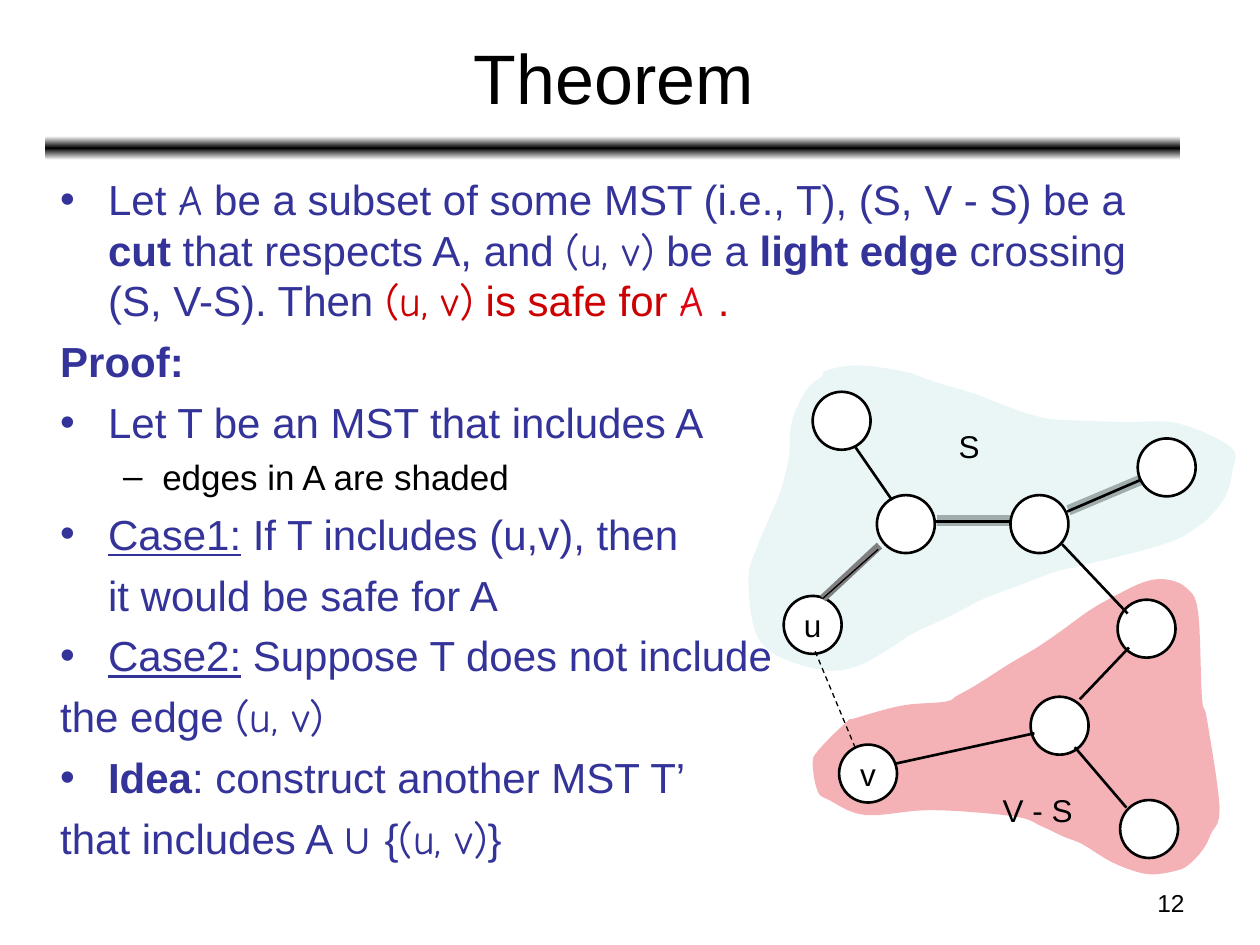
from dataclasses import dataclass
from typing import Optional

from lxml import etree
from pptx import Presentation
from pptx.dml.color import RGBColor
from pptx.enum.dml import MSO_LINE
from pptx.enum.shapes import MSO_CONNECTOR, MSO_SHAPE
from pptx.enum.text import MSO_ANCHOR, MSO_AUTO_SIZE, PP_ALIGN
from pptx.oxml.ns import qn
from pptx.util import Inches, Pt

STRAIGHT = MSO_CONNECTOR.STRAIGHT
OVAL, ROUNDED = MSO_SHAPE.OVAL, MSO_SHAPE.ROUNDED_RECTANGLE
LEFT, CENTER, RIGHT = PP_ALIGN.LEFT, PP_ALIGN.CENTER, PP_ALIGN.RIGHT
MIDDLE, TOP = MSO_ANCHOR.MIDDLE, MSO_ANCHOR.TOP
GROW = MSO_AUTO_SIZE.SHAPE_TO_FIT_TEXT
DASH = MSO_LINE.DASH


@dataclass(frozen=True)
class Theme:
    black: RGBColor = RGBColor(0, 0, 0)
    white: RGBColor = RGBColor(255, 255, 255)
    navy: RGBColor = RGBColor(0x33, 0x33, 0x99)
    claim: RGBColor = RGBColor(0xCC, 0, 0)
    red: RGBColor = RGBColor(0xDD, 0x01, 0x11)
    teal: RGBColor = RGBColor(0xBB, 0xE0, 0xE3)
    shade: RGBColor = RGBColor(0x96, 0x96, 0x96)
    dark_shade: RGBColor = RGBColor(0x80, 0x80, 0x80)
    font: str = "Arial"
    math_font: str = "Comic Neue"
    title: int = 40
    body: int = 24
    detail: int = 20
    label: int = 18
    number: int = 14


THEME = Theme()


@dataclass(frozen=True)
class Span:
    text: str
    bold: bool = False
    underline: bool = False
    math: bool = False
    color: Optional[RGBColor] = None


@dataclass(frozen=True)
class Item:
    spans: tuple[Span, ...]
    bullet: str = ""
    margin: float = 0.38
    hanging: float = -0.38
    size: int = THEME.body
    before: int = 6
    color: RGBColor = THEME.navy


@dataclass(frozen=True)
class Node:
    left: float
    top: float
    label: str = ""


@dataclass(frozen=True)
class Edge:
    start: tuple[float, float]
    end: tuple[float, float]
    width: float = 1.5
    color: RGBColor = THEME.black
    dashed: bool = False


@dataclass(frozen=True)
class Label:
    text: str
    place: tuple[float, float, float, float]
    size: int = THEME.label
    align: PP_ALIGN = LEFT
    anchor: MSO_ANCHOR = TOP
    wrap: bool = False


@dataclass(frozen=True)
class Region:
    color: RGBColor
    points: tuple[tuple[float, float], ...]


UV = Span("(u, v)", math=True)
ITEMS = (
    Item((Span("Let "), Span("A", math=True),
          Span(" be a subset of some MST (i.e., T), (S, V - S) be a "), Span("cut", bold=True),
          Span(" that respects A, and "), UV, Span(" be a "), Span("light edge", bold=True),
          Span(" crossing (S, V-S). Then "), Span("(u, v)", math=True, color=THEME.claim),
          Span(" is safe for ", color=THEME.claim), Span("A ", math=True, color=THEME.red),
          Span(".", color=THEME.claim)), "•"),
    Item((Span("Proof:", bold=True),)),
    Item((Span("Let T be an MST that includes A"),), "•"),
    Item((Span("edges in A are shaded"),), "–", 0.81, -0.31, THEME.detail, 5, THEME.black),
    Item((Span("Case1:", underline=True), Span(" If T includes (u,v), then")), "•"),
    Item((Span("it would be safe for A"),), hanging=0),
    Item((Span("Case2:", underline=True), Span(" Suppose T does not include")), "•"),
    Item((Span("the edge "), UV)),
    Item((Span("Idea", bold=True), Span(": construct another MST T’")), "•"),
    Item((Span("that includes A ∪ {"), UV, Span("}"))),
)
LABELS = (
    Label("12", (7.17, 7, 2.33, 0.35), THEME.number, RIGHT, wrap=True),
    Label("Theorem", (0.37, 0.11, 9, 0.99), THEME.title, CENTER, MIDDLE, True),
)
REGION_LABELS = (Label("S", (7.51, 3.34, 0.36, 0.4)), Label("V - S", (7.86, 6.23, 0.8, 0.4)))
LOWER_REGION = Region(THEME.red, (
    (7.5, 5.57), (7.16, 5.6), (6.79, 5.7), (6.72, 5.73), (6.5, 5.95), (6.45, 6.06), (6.49, 6.28),
    (6.58, 6.35), (6.87, 6.47), (7.39, 6.43), (8.05, 6.48), (8.27, 6.56), (8.44, 6.64),
    (8.59, 6.7), (8.8, 6.83), (8.99, 6.91), (9.15, 6.94), (9.34, 6.91), (9.44, 6.86),
    (9.55, 6.74), (9.61, 6.62), (9.68, 6.41), (9.58, 5.71), (9.54, 5.54), (9.51, 4.86),
    (9.42, 4.67), (9.26, 4.6), (9.08, 4.62), (8.83, 4.74), (8.64, 4.85), (8.42, 5.01),
    (8.23, 5.14), (8.01, 5.27), (7.76, 5.43), (7.6, 5.52)))
UPPER_REGION = Region(THEME.teal, (
    (6.52, 2.99), (6.41, 3.08), (6.31, 3.27), (6.27, 3.43), (6.26, 3.64), (6.19, 3.91),
    (6.11, 4.1), (6.01, 4.34), (5.94, 4.58), (5.99, 5), (6.16, 5.2), (6.55, 5.32), (6.82, 5.28),
    (7.07, 5.14), (7.24, 5.03), (7.54, 4.89), (7.79, 4.76), (8.05, 4.66), (8.37, 4.54),
    (8.62, 4.48), (9.06, 4.37), (9.34, 4.28), (9.52, 4.17), (9.63, 4.07), (9.73, 3.93),
    (9.78, 3.74), (9.77, 3.55), (9.35, 3.36), (8.92, 3.35), (8.39, 3.33), (8.18, 3.29),
    (8.03, 3.24), (7.85, 3.17), (7.75, 3.13), (7.42, 3.03), (7.18, 2.95), (6.81, 2.9),
    (6.56, 2.94)))
NODE_SIZE = 0.46
NODES = (
    Node(6.22, 4.73, "u"), Node(6.96, 3.93), Node(8.02, 3.93), Node(9.03, 3.48),
    Node(8.87, 4.76), Node(6.45, 3.11), Node(8.18, 5.53), Node(8.89, 6.35), Node(6.66, 5.91, "v"),
)
SHADED_EDGES = (
    Edge((7.44, 4.13), (8.02, 4.13), 6, THEME.shade),
    Edge((8.48, 4.05), (9.05, 3.81), 6, THEME.shade),
)
EDGES = (
    Edge((7.42, 4.14), (8.02, 4.14)), Edge((6.79, 3.55), (7.08, 3.97)),
    Edge((8.47, 4.06), (9.05, 3.81)), Edge((8.43, 4.32), (8.95, 4.87)),
    Edge((7.11, 6.06), (8.21, 5.82)), Edge((8.57, 5.55), (8.96, 5.14)),
    Edge((8.53, 5.93), (8.94, 6.41)), Edge((6.47, 5.17), (6.79, 5.94), 0.75, dashed=True),
    Edge((6.98, 4.33), (6.53, 4.75), 4.5, THEME.dark_shade),
    Edge((6.53, 4.75), (6.97, 4.36), 0.75),
)


def style_font(font, size: int, color: RGBColor) -> None:
    """Give a font the base face with a size and colour."""
    font.name, font.size = THEME.font, Pt(size)
    font.color.rgb = color


def draw_bar(page) -> None:
    """Draw the rule under the title, fading from black to white."""
    bar = page.shapes.add_shape(ROUNDED, *map(Inches, (0.36, 1.08, 9.01, 0.19)))
    bar.shadow.inherit = False
    bar.line.fill.background()
    bar.fill.gradient()
    bar.fill.gradient_angle = 270
    stops = bar._element.spPr.find(qn("a:gradFill")).find(qn("a:gsLst"))
    for stop in list(stops):
        stops.remove(stop)
    for position, color in ((0, THEME.white), (50000, THEME.black), (100000, THEME.white)):
        stop = etree.SubElement(stops, qn("a:gs"), pos=str(position))
        etree.SubElement(stop, qn("a:srgbClr"), val=str(color))


def draw_label(page, label: Label) -> None:
    """Draw a one-line text box."""
    box = page.shapes.add_textbox(*map(Inches, label.place))
    frame = box.text_frame
    frame.word_wrap, frame.vertical_anchor = label.wrap, label.anchor
    if not label.wrap:
        frame.auto_size = GROW
    para = frame.paragraphs[0]
    para.text, para.alignment = label.text, label.align
    style_font(para.font, label.size, THEME.black)


def write_item(para, item: Item) -> None:
    """Write one body paragraph with its indent, bullet and spans."""
    para.space_before = Pt(item.before)
    properties = para._p.get_or_add_pPr()
    properties.set("marL", str(Inches(item.margin)))
    properties.set("indent", str(Inches(item.hanging)))
    if item.bullet:
        tint = etree.SubElement(properties, qn("a:buClr"))
        etree.SubElement(tint, qn("a:srgbClr"), val=str(item.color))
        etree.SubElement(properties, qn("a:buFont"), typeface=THEME.font)
        etree.SubElement(properties, qn("a:buChar"), char=item.bullet)
    style_font(para.font, item.size, item.color)
    for part in item.spans:
        span = para.add_run()
        span.text = part.text
        if part.bold:
            span.font.bold = True
        if part.underline:
            span.font.underline = True
        if part.math:
            span.font.name = THEME.math_font
        if part.color is not None:
            span.font.color.rgb = part.color


def draw_body(page) -> None:
    """Draw the theorem and its proof."""
    frame = page.shapes.add_textbox(*map(Inches, (0.38, 1.33, 9.03, 5.55))).text_frame
    frame.word_wrap = True
    for index, item in enumerate(ITEMS):
        write_item(frame.add_paragraph() if index else frame.paragraphs[0], item)


def smooth_outline(points: tuple, steps: int = 5) -> list[tuple[int, int]]:
    """Return a closed Catmull-Rom curve through the points."""
    outline = []
    for index in range(len(points)):
        corners = [points[(index + shift) % len(points)] for shift in (-1, 0, 1, 2)]
        for step in range(steps):
            t = step / steps
            outline.append(tuple(
                Inches(b + t * (c - a) / 2 + t * t * (2 * a - 5 * b + 4 * c - d) / 2
                       + t ** 3 * (3 * b - a - 3 * c + d) / 2)
                for a, b, c, d in zip(*corners)))
    return outline


def draw_region(page, region: Region) -> None:
    """Draw one translucent side of the cut."""
    start, *rest = smooth_outline(region.points)
    builder = page.shapes.build_freeform(*start)
    builder.add_line_segments(rest, close=True)
    shape = builder.convert_to_shape()
    shape.shadow.inherit = False
    shape.line.fill.background()
    shape.fill.solid()
    shape.fill.fore_color.rgb = region.color
    tint = shape._element.spPr.find(qn("a:solidFill"))[0]
    etree.SubElement(tint, qn("a:alpha"), val="30000")


def draw_node(page, node: Node) -> None:
    """Draw a graph vertex with its optional name."""
    circle = page.shapes.add_shape(OVAL, *map(Inches, (node.left, node.top, NODE_SIZE, NODE_SIZE)))
    circle.shadow.inherit = False
    circle.fill.solid()
    circle.fill.fore_color.rgb = THEME.white
    circle.line.color.rgb, circle.line.width = THEME.black, Pt(1.5)
    if node.label:
        frame = circle.text_frame
        frame.word_wrap, frame.vertical_anchor = False, MIDDLE
        para = frame.paragraphs[0]
        para.text, para.alignment = node.label, CENTER
        style_font(para.font, THEME.label, THEME.black)


def draw_edge(page, edge: Edge) -> None:
    """Draw a graph edge."""
    line = page.shapes.add_connector(STRAIGHT, *map(Inches, edge.start + edge.end))
    line.line.color.rgb, line.line.width = edge.color, Pt(edge.width)
    if edge.dashed:
        line.line.dash_style = DASH
    etree.SubElement(line._element.spPr, qn("a:effectLst"))


def main() -> None:
    """Build the slide and save it."""
    deck = Presentation()
    deck.slide_width, deck.slide_height = Inches(10), Inches(7.5)
    page = deck.slides.add_slide(deck.slide_layouts[6])
    draw_bar(page)
    for label in LABELS:
        draw_label(page, label)
    draw_body(page)
    draw_region(page, LOWER_REGION)
    for edge in SHADED_EDGES:
        draw_edge(page, edge)
    draw_region(page, UPPER_REGION)
    for node in NODES:
        draw_node(page, node)
    for edge in EDGES:
        draw_edge(page, edge)
    for label in REGION_LABELS:
        draw_label(page, label)
    deck.save("out.pptx")


if __name__ == "__main__":
    main()
